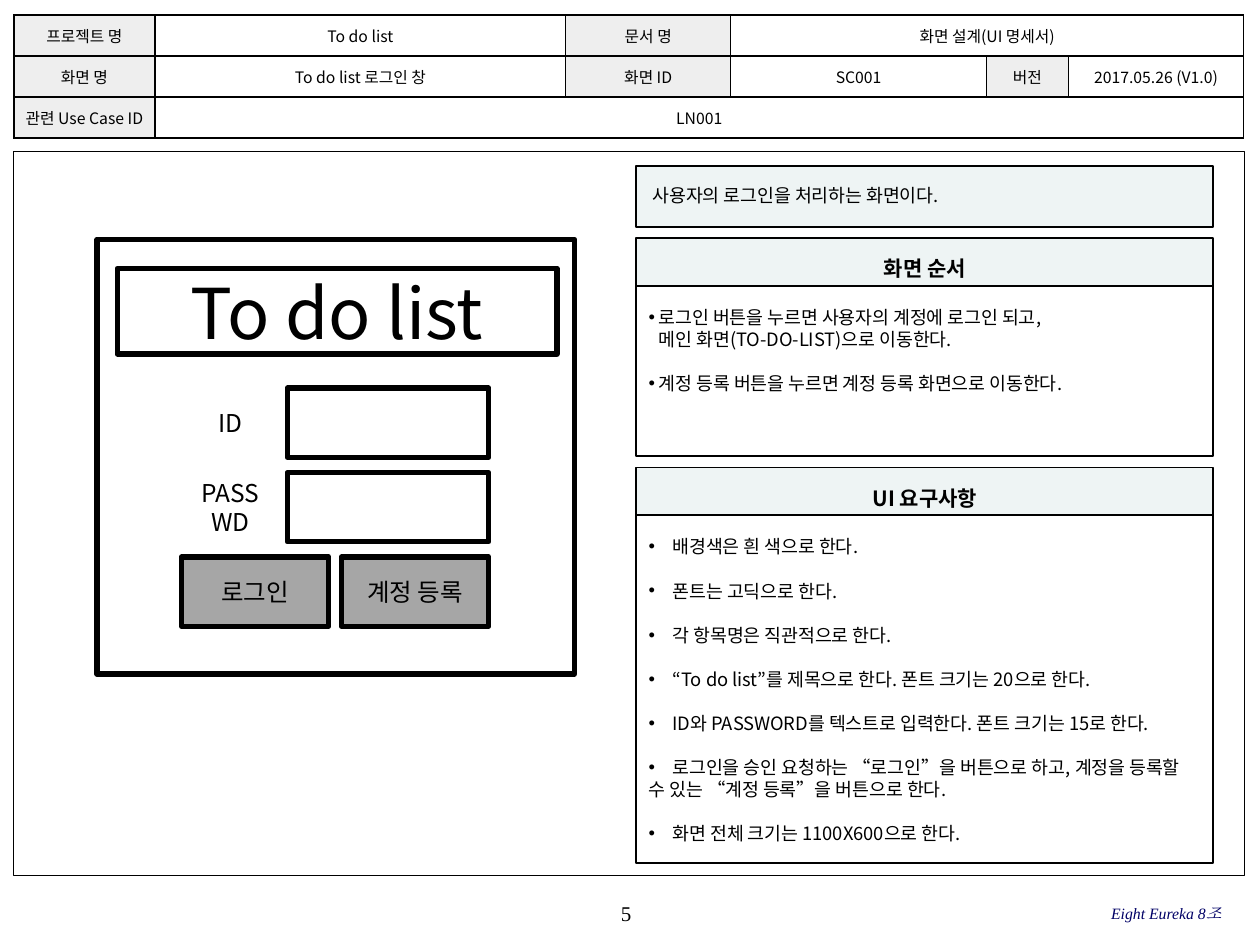
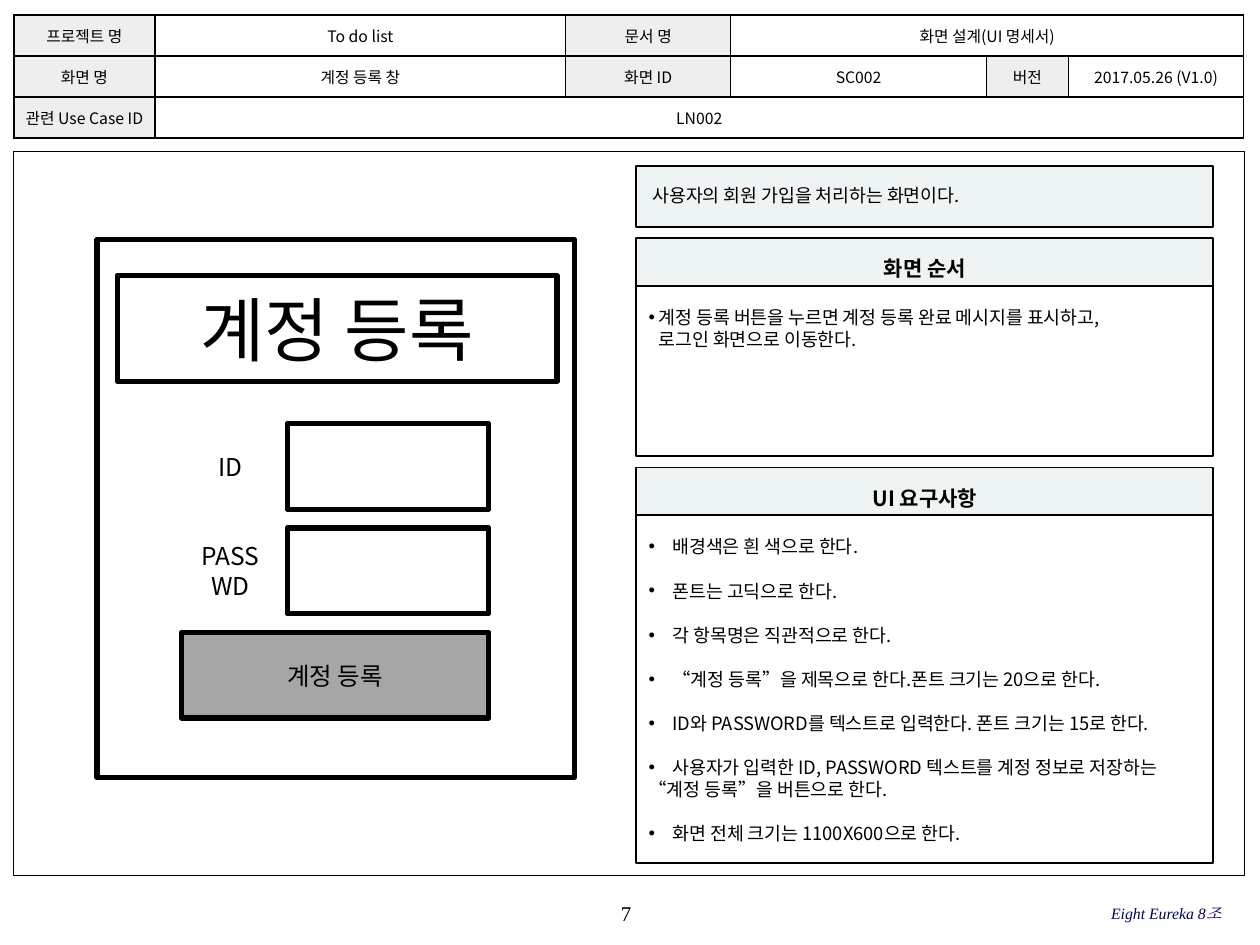
from dataclasses import dataclass

from lxml.etree import SubElement
from pptx import Presentation
from pptx.dml.color import RGBColor
from pptx.enum.shapes import MSO_SHAPE
from pptx.enum.text import MSO_ANCHOR, PP_ALIGN
from pptx.oxml.ns import qn
from pptx.util import Inches, Pt


@dataclass(frozen=True)
class Theme:
    """Colours, fonts and sizes shared by the screen specifications."""

    ink: str = "000000"
    paper: str = "FFFFFF"
    panel: str = "EEF4F4"
    label: str = "EEEEEE"
    button: str = "A6A6A6"
    team: str = "000066"
    sans: str = "Noto Sans CJK KR"
    serif: str = "Times New Roman"
    table_size: float = 9
    team_size: float = 9
    body_size: float = 10.5
    heading_size: float = 12
    control_size: float = 14
    title_size: float = 40
    leading: float = 1.2
    hairline: float = 0.75
    rule: float = 1
    sketch_line: float = 3


@dataclass(frozen=True)
class Screen:
    """Content of one screen specification; each item is a list of lines."""

    page: str
    name: str
    screen_id: str
    use_case: str
    summary: str
    steps: list
    title_rule: str
    button_rule: list
    sketch_title: str
    sketch_height: float
    buttons: list


THEME = Theme()
DOCUMENT_LEFT, DOCUMENT_WIDTH = 0.11, 9.77
PANEL_LEFT, PANEL_WIDTH = 5.05, 4.58
HEADING_HEIGHT = 0.38
COLUMNS = (1.12, 3.26, 1.31, 2.03, 0.65, 1.39)
ROW_HEIGHT = 0.325
PLAIN_INSETS = (0.1, 0.05, 0.1, 0.05)
HEADING_INSETS = (0.1, 0.14, 0.1, 0.05)
SUMMARY_INSETS = (0.13, 0.14, 0.1, 0.05)
BODY_INSETS = (0.1, 0.16, 0.1, 0.05)

SCREENS = [
    Screen(
        page="5",
        name="To do list 로그인 창",
        screen_id="SC001",
        use_case="LN001",
        summary="사용자의 로그인을 처리하는 화면이다.",
        steps=[
            ["로그인 버튼을 누르면 사용자의 계정에 로그인 되고,",
             "메인 화면(TO-DO-LIST)으로 이동한다."],
            ["계정 등록 버튼을 누르면 계정 등록 화면으로 이동한다."],
        ],
        title_rule="“To do list”를 제목으로 한다. 폰트 크기는 20으로 한다.",
        button_rule=["로그인을 승인 요청하는 “로그인”을 버튼으로 하고, 계정을 등록할",
                     "수 있는 “계정 등록”을 버튼으로 한다."],
        sketch_title="To do list",
        sketch_height=3.45,
        buttons=["로그인", "계정 등록"],
    ),
    Screen(
        page="7",
        name="계정 등록 창",
        screen_id="SC002",
        use_case="LN002",
        summary="사용자의 회원 가입을 처리하는 화면이다.",
        steps=[
            ["계정 등록 버튼을 누르면 계정 등록 완료 메시지를 표시하고,",
             "로그인 화면으로 이동한다."],
        ],
        title_rule="“계정 등록”을 제목으로 한다.폰트 크기는 20으로 한다.",
        button_rule=["사용자가 입력한 ID, PASSWORD 텍스트를 계정 정보로 저장하는",
                     "“계정 등록”을 버튼으로 한다."],
        sketch_title="계정 등록",
        sketch_height=4.27,
        buttons=["계정 등록"],
    ),
]


def rgb(code):
    """Turn a hex code into a colour."""
    return RGBColor.from_string(code)


def write(paragraph, words, size, align=PP_ALIGN.LEFT, font=THEME.sans,
          color=THEME.ink, bold=False, italic=False):
    """Add one styled run to a paragraph."""
    paragraph.alignment = align
    run = paragraph.add_run()
    run.text = words
    run.font.size = Pt(size)
    run.font.name = font
    run.font.bold = bold
    run.font.italic = italic
    run.font.color.rgb = rgb(color)
    SubElement(run.font._element, qn("a:ea"), typeface=font)


def prepare(frame, anchor, insets):
    """Set wrapping, anchor and insets of a text frame and return its first paragraph."""
    frame.word_wrap = True
    frame.vertical_anchor = anchor
    (frame.margin_left, frame.margin_top,
     frame.margin_right, frame.margin_bottom) = map(Inches, insets)
    return frame.paragraphs[0]


def add_box(slide, box, fill=None, weight=THEME.rule,
            anchor=MSO_ANCHOR.MIDDLE, insets=PLAIN_INSETS):
    """Draw an outlined rectangle and return its text frame."""
    rectangle = slide.shapes.add_shape(MSO_SHAPE.RECTANGLE, *map(Inches, box))
    rectangle.shadow.inherit = False
    if fill:
        rectangle.fill.solid()
        rectangle.fill.fore_color.rgb = rgb(fill)
    else:
        rectangle.fill.background()
    rectangle.line.color.rgb = rgb(THEME.ink)
    rectangle.line.width = Pt(weight)
    SubElement(rectangle.line._get_or_add_ln(), qn("a:round"))
    prepare(rectangle.text_frame, anchor, insets)
    return rectangle.text_frame


def add_label(slide, box, words, size, insets=(0, 0, 0, 0), leading=None, **style):
    """Place a vertically centred text box."""
    label = slide.shapes.add_textbox(*map(Inches, box))
    paragraph = prepare(label.text_frame, MSO_ANCHOR.MIDDLE, insets)
    if leading:
        paragraph.line_spacing = Pt(size * leading)
    write(paragraph, words, size, **style)


def set_indent(paragraph, margin, bullet):
    """Indent a paragraph, hanging a bullet in the margin when asked."""
    properties = paragraph._p.get_or_add_pPr()
    properties.set("marL", str(Inches(margin)))
    properties.set("indent", str(Inches(-margin if bullet else 0)))
    if bullet:
        SubElement(properties, qn("a:buFont"), typeface="Arial")
        SubElement(properties, qn("a:buChar"), char="•")
    else:
        SubElement(properties, qn("a:buNone"))


def write_items(frame, items, hanging, continuation):
    """Write bulleted items whose further lines start at the continuation margin."""
    pitch = Pt(THEME.body_size * THEME.leading)
    lines = [(line, index == 0, index == len(item) - 1)
             for item in items for index, line in enumerate(item)]
    for position, (line, first, last) in enumerate(lines):
        paragraph = frame.add_paragraph() if position else frame.paragraphs[0]
        paragraph.line_spacing = pitch
        paragraph.space_after = pitch if last else Pt(0)
        set_indent(paragraph, hanging if first else continuation, first)
        write(paragraph, line, THEME.body_size)


def add_summary(slide, box, summary):
    """Draw the one-line purpose of the screen."""
    frame = add_box(slide, box, THEME.panel, anchor=MSO_ANCHOR.TOP, insets=SUMMARY_INSETS)
    frame.paragraphs[0].line_spacing = Pt(THEME.body_size * THEME.leading)
    write(frame.paragraphs[0], summary, THEME.body_size)


def add_panel(slide, box, heading, items, hanging, continuation):
    """Draw a heading band above a bulleted list."""
    left, top, width, height = box
    band = add_box(slide, (left, top, width, HEADING_HEIGHT), THEME.panel,
                   anchor=MSO_ANCHOR.TOP, insets=HEADING_INSETS)
    band.paragraphs[0].line_spacing = Pt(THEME.heading_size * THEME.leading)
    write(band.paragraphs[0], heading, THEME.heading_size, PP_ALIGN.CENTER, bold=True)
    body = add_box(slide, (left, top + HEADING_HEIGHT, width, height - HEADING_HEIGHT),
                   THEME.paper, anchor=MSO_ANCHOR.TOP, insets=BODY_INSETS)
    write_items(body, items, hanging, continuation)


def style_cell(cell, is_label):
    """Give a header cell its borders and fill."""
    properties = cell._tc.get_or_add_tcPr()
    for side in ("lnL", "lnR", "lnT", "lnB"):
        border = SubElement(properties, qn(f"a:{side}"), w=str(Pt(THEME.rule)))
        SubElement(SubElement(border, qn("a:solidFill")), qn("a:srgbClr"), val=THEME.ink)
    if is_label:
        cell.fill.solid()
        cell.fill.fore_color.rgb = rgb(THEME.label)
    else:
        cell.fill.background()


def add_document_header(slide, box, screen):
    """Build the table that identifies the document and the screen."""
    rows = [
        ["프로젝트 명", "To do list", "문서 명", "화면 설계(UI 명세서)"],
        ["화면 명", screen.name, "화면 ID", screen.screen_id, "버전", "2017.05.26 (V1.0)"],
        ["관련 Use Case ID", screen.use_case],
    ]
    last = len(COLUMNS) - 1
    table = slide.shapes.add_table(len(rows), len(COLUMNS), *map(Inches, box)).table
    table.first_row = table.horz_banding = False
    for column, width in zip(table.columns, COLUMNS):
        column.width = Inches(width)
    for index, texts in enumerate(rows):
        table.rows[index].height = Inches(ROW_HEIGHT)
        for column in range(len(COLUMNS)):
            cell = table.cell(index, column)
            style_cell(cell, column < len(texts) and column % 2 == 0)
            cell.vertical_anchor = MSO_ANCHOR.MIDDLE
            cell.margin_left = cell.margin_right = Inches(0.04)
            cell.margin_top = cell.margin_bottom = Inches(0.02)
            if column < len(texts):
                write(cell.text_frame.paragraphs[0], texts[column],
                      THEME.table_size, PP_ALIGN.CENTER)
        if len(texts) <= last:
            table.cell(index, len(texts) - 1).merge(table.cell(index, last))


def add_sketch(slide, box, screen):
    """Sketch the window, stretching its rows to the height of the box."""
    left, top, width, height = box
    stretch = height / 3.45
    control_height = 0.55 * stretch
    form_left, form_width, field_width, gap = left + 0.67, 2.44, 1.6, 0.1
    row_tops = [top + (1.18 + 0.67 * row) * stretch for row in range(3)]

    add_box(slide, box, weight=THEME.sketch_line)
    title = add_box(slide, (left + 0.16, top + 0.23 * stretch, width - 0.3, 0.68 * stretch),
                    THEME.paper, THEME.sketch_line)
    write(title.paragraphs[0], screen.sketch_title, THEME.title_size, PP_ALIGN.CENTER)
    for caption, row_top in zip(("ID", "PASSWD"), row_tops):
        add_label(slide, (form_left, row_top, 0.78, control_height), caption,
                  THEME.control_size, PLAIN_INSETS, THEME.leading, align=PP_ALIGN.CENTER)
        add_box(slide, (form_left + form_width - field_width, row_top,
                        field_width, control_height), weight=THEME.sketch_line)
    count = len(screen.buttons)
    button_width = (form_width - gap * (count - 1)) / count
    for index, caption in enumerate(screen.buttons):
        button = add_box(slide, (form_left + index * (button_width + gap), row_tops[2],
                                 button_width, control_height),
                         THEME.button, THEME.sketch_line)
        write(button.paragraphs[0], caption, THEME.control_size, PP_ALIGN.CENTER)


def add_footer(slide, box, page):
    """Write the page number in the middle and the team at the right."""
    left, top, width, height = box
    add_label(slide, (left + 3.82, top, 2.08, height), page, THEME.heading_size,
              align=PP_ALIGN.CENTER, font=THEME.serif)
    add_label(slide, (left + width - 3.25, top, 3.06, height), "Eight Eureka 8조",
              THEME.team_size, align=PP_ALIGN.RIGHT, font=THEME.serif,
              color=THEME.team, italic=True)


def add_screen_slide(deck, screen):
    """Lay out one screen specification."""
    requirements = [
        ["배경색은 흰 색으로 한다."],
        ["폰트는 고딕으로 한다."],
        ["각 항목명은 직관적으로 한다."],
        [screen.title_rule],
        ["ID와 PASSWORD를 텍스트로 입력한다. 폰트 크기는 15로 한다."],
        screen.button_rule,
        ["화면 전체 크기는 1100X600으로 한다."],
    ]
    slide = deck.slides.add_slide(deck.slide_layouts[6])
    add_box(slide, (DOCUMENT_LEFT, 1.2, DOCUMENT_WIDTH, 5.75), weight=THEME.hairline)
    add_footer(slide, (DOCUMENT_LEFT, 7.08, DOCUMENT_WIDTH, 0.33), screen.page)
    add_summary(slide, (PANEL_LEFT, 1.32, PANEL_WIDTH, 0.48), screen.summary)
    add_panel(slide, (PANEL_LEFT, 1.89, PANEL_WIDTH, 1.73), "화면 순서",
              screen.steps, 0.08, 0.08)
    add_panel(slide, (PANEL_LEFT, 3.71, PANEL_WIDTH, 3.14), "UI 요구사항",
              requirements, 0.19, 0)
    add_document_header(slide, (DOCUMENT_LEFT, 0.12, DOCUMENT_WIDTH, 3 * ROW_HEIGHT), screen)
    add_sketch(slide, (0.77, 1.9, 3.79, screen.sketch_height), screen)


def main():
    """Build and save the deck."""
    deck = Presentation()
    deck.slide_width, deck.slide_height = Inches(10), Inches(7.5)
    for screen in SCREENS:
        add_screen_slide(deck, screen)
    deck.save("out.pptx")


if __name__ == "__main__":
    main()
